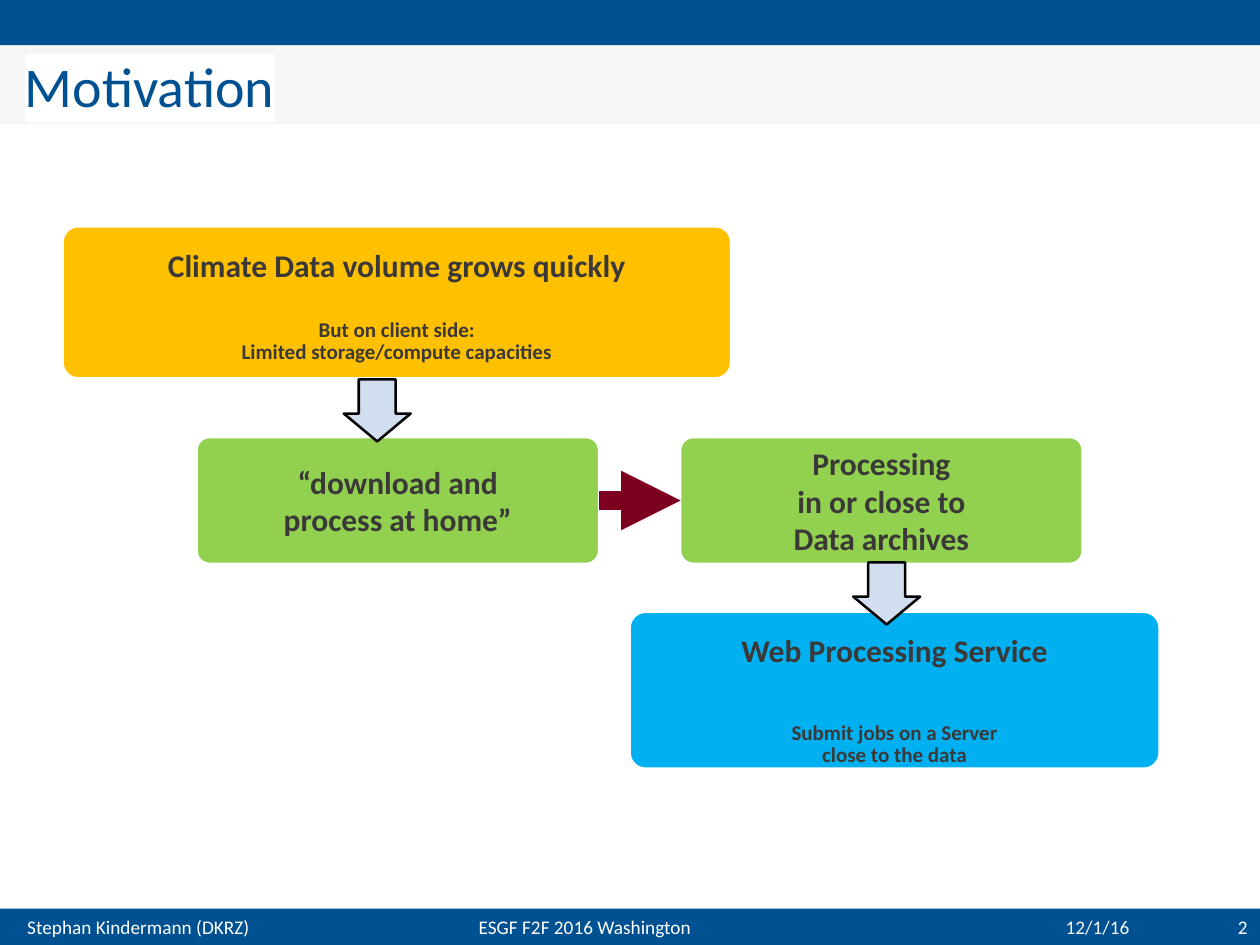
from lxml import etree
from pptx import Presentation
from pptx.dml.color import RGBColor
from pptx.enum.shapes import MSO_CONNECTOR, MSO_SHAPE
from pptx.enum.text import MSO_ANCHOR, MSO_AUTO_SIZE, PP_ALIGN
from pptx.oxml.ns import qn
from pptx.util import Cm, Pt

RECTANGLE = MSO_SHAPE.RECTANGLE
ROUNDED = MSO_SHAPE.ROUNDED_RECTANGLE
DOWN_ARROW = MSO_SHAPE.DOWN_ARROW
STRAIGHT = MSO_CONNECTOR.STRAIGHT
TOP, MIDDLE = MSO_ANCHOR.TOP, MSO_ANCHOR.MIDDLE
LEFT, CENTER, RIGHT = PP_ALIGN.LEFT, PP_ALIGN.CENTER, PP_ALIGN.RIGHT
NO_AUTOFIT = MSO_AUTO_SIZE.NONE

WIDTH, HEIGHT = 25.4, 19.05
BLUE, GREY, WHITE = "005191", "F6F6F6", "FFFFFF"
GREEN, ORANGE, CYAN = "92D050", "FFC000", "00B0F0"
TEXT, PALE, MAROON, BLACK = "3B3838", "D1DEEF", "7E0021", "000000"


def color(value):
    """Turn a hex string into a colour."""
    return RGBColor.from_string(value)


def set_margins(text_frame, horizontal, vertical):
    """Set the insets of a text frame in centimetres."""
    text_frame.margin_left = text_frame.margin_right = Cm(horizontal)
    text_frame.margin_top = text_frame.margin_bottom = Cm(vertical)


def format_paragraph(paragraph, size, font_color, alignment, bold=False):
    """Apply the slide's font to a paragraph and its runs."""
    paragraph.alignment = alignment
    for run in paragraph.runs:
        run.font.name = "Calibri"
        run.font.size = Pt(size)
        run.font.bold = bold
        run.font.color.rgb = color(font_color)


def add_filled_shape(slide, kind, box, fill, line=None, line_width=1):
    """Add a flat preset shape filling the given box."""
    shape = slide.shapes.add_shape(kind, *map(Cm, box))
    shape.shadow.inherit = False
    shape.fill.solid()
    shape.fill.fore_color.rgb = color(fill)
    if line:
        shape.line.color.rgb = color(line)
        shape.line.width = Pt(line_width)
    else:
        shape.line.fill.background()
    return shape


def place_title(slide, box, text):
    """Move the title placeholder into the grey band and highlight its text."""
    title = slide.shapes.title
    title.left, title.top, title.width, title.height = map(Cm, box)
    title.fill.solid()
    title.fill.fore_color.rgb = color(GREY)
    text_frame = title.text_frame
    text_frame.text = text
    text_frame.auto_size = NO_AUTOFIT
    text_frame.vertical_anchor = MIDDLE
    set_margins(text_frame, 0.5, 0.13)
    paragraph = text_frame.paragraphs[0]
    format_paragraph(paragraph, 32, BLUE, LEFT)
    properties = paragraph.runs[0].font.fill
    run_properties = paragraph.runs[0]._r.get_or_add_rPr()
    highlight = etree.Element(qn("a:highlight"))
    etree.SubElement(highlight, qn("a:srgbClr"), val=WHITE)
    run_properties.find(qn("a:solidFill")).addnext(highlight)


def add_footer(slide, box):
    """Add the footer band with author, event, date and page number."""
    left, top, _, height = box
    add_filled_shape(slide, RECTANGLE, box, BLUE)
    entries = [
        ("Stephan Kindermann (DKRZ)", 0.3, 6.6, LEFT, WHITE),
        ("ESGF F2F 2016 Washington", 9.4, 6.6, LEFT, WHITE),
        ("12/1/16", 20.1, 2.92, RIGHT, GREY),
        ("2", 23.3, 2.1, RIGHT, WHITE),
    ]
    for text, offset, width, alignment, font_color in entries:
        label = slide.shapes.add_textbox(Cm(left + offset), Cm(top), Cm(width), Cm(height))
        text_frame = label.text_frame
        text_frame.text = text
        text_frame.word_wrap = True
        text_frame.vertical_anchor = MIDDLE
        set_margins(text_frame, 0.25, 0)
        format_paragraph(text_frame.paragraphs[0], 11, font_color, alignment)


def add_card(slide, box, fill, heading, details=(), gap=0):
    """Add a rounded card with heading lines and optional smaller details."""
    card = add_filled_shape(slide, ROUNDED, box, fill, WHITE)
    card.adjustments[0] = 0.1
    text_frame = card.text_frame
    text_frame.text = "\n".join([*heading, *details])
    text_frame.word_wrap = True
    text_frame.vertical_anchor = TOP if details else MIDDLE
    set_margins(text_frame, 0.2, 0.38 if details else 0.33)
    for index, paragraph in enumerate(text_frame.paragraphs):
        is_heading = index < len(heading)
        format_paragraph(paragraph, 18 if is_heading else 12, TEXT, CENTER, True)
        if details:
            paragraph.line_spacing = 0.9
        if index == len(heading):
            paragraph.space_before = Pt(gap)
    return card


def add_down_arrow(slide, left, top):
    """Add a pale block arrow pointing down."""
    arrow = add_filled_shape(slide, DOWN_ARROW, (left, top, 1.35, 1.25), PALE, BLACK, 1.45)
    arrow.adjustments[0] = 0.55
    arrow.adjustments[1] = 0.45


def connect_cards(slide, source, target):
    """Join the right side of one card to the left side of another."""
    connector = slide.shapes.add_connector(STRAIGHT, 0, 0, 0, 0)
    connector.begin_connect(source, 3)
    connector.end_connect(target, 1)
    connector.line.color.rgb = color(MAROON)
    connector.line.width = Pt(11.34)
    etree.SubElement(connector.line._get_or_add_ln(), qn("a:tailEnd"), type="triangle")
    etree.SubElement(connector._element.spPr, qn("a:effectLst"))


def add_flow(slide, box):
    """Add the cards and arrows that lead from data growth to the service."""
    left, top, width, height = box
    right = left + width
    download = add_card(slide, (left + 2.7, top + 4.25, 8.1, 2.54), GREEN,
                        ["“download and", "process at home”"])
    archives = add_card(slide, (left + 12.45, top + 4.25, 8.1, 2.54), GREEN,
                        ["Processing", "in or close to", "Data archives"])
    add_card(slide, (left, top, 13.46, 3.05), ORANGE,
             ["Climate Data volume grows quickly"],
             ["But on client side:", "Limited storage/compute capacities"], 20)
    add_card(slide, (right - 10.67, top + height - 3.15, 10.67, 3.15), CYAN,
             ["Web Processing Service"],
             ["Submit jobs on a Server", "close to the data"], 30)
    connect_cards(slide, download, archives)
    add_down_arrow(slide, left + 5.66, top + 3.08)
    add_down_arrow(slide, left + 15.93, top + 6.77)


def main():
    """Build and save the slide."""
    presentation = Presentation()
    presentation.slide_width = Cm(WIDTH)
    presentation.slide_height = Cm(HEIGHT)
    slide = presentation.slides.add_slide(presentation.slide_layouts[5])
    add_filled_shape(slide, RECTANGLE, (0, 0, WIDTH, 0.91), BLUE)
    add_footer(slide, (0, 18.32, WIDTH, 0.73))
    place_title(slide, (0, 0.91, WIDTH, 1.6), "Motivation")
    add_flow(slide, (1.27, 4.57, 22.1, 10.92))
    presentation.save("out.pptx")


if __name__ == "__main__":
    main()
